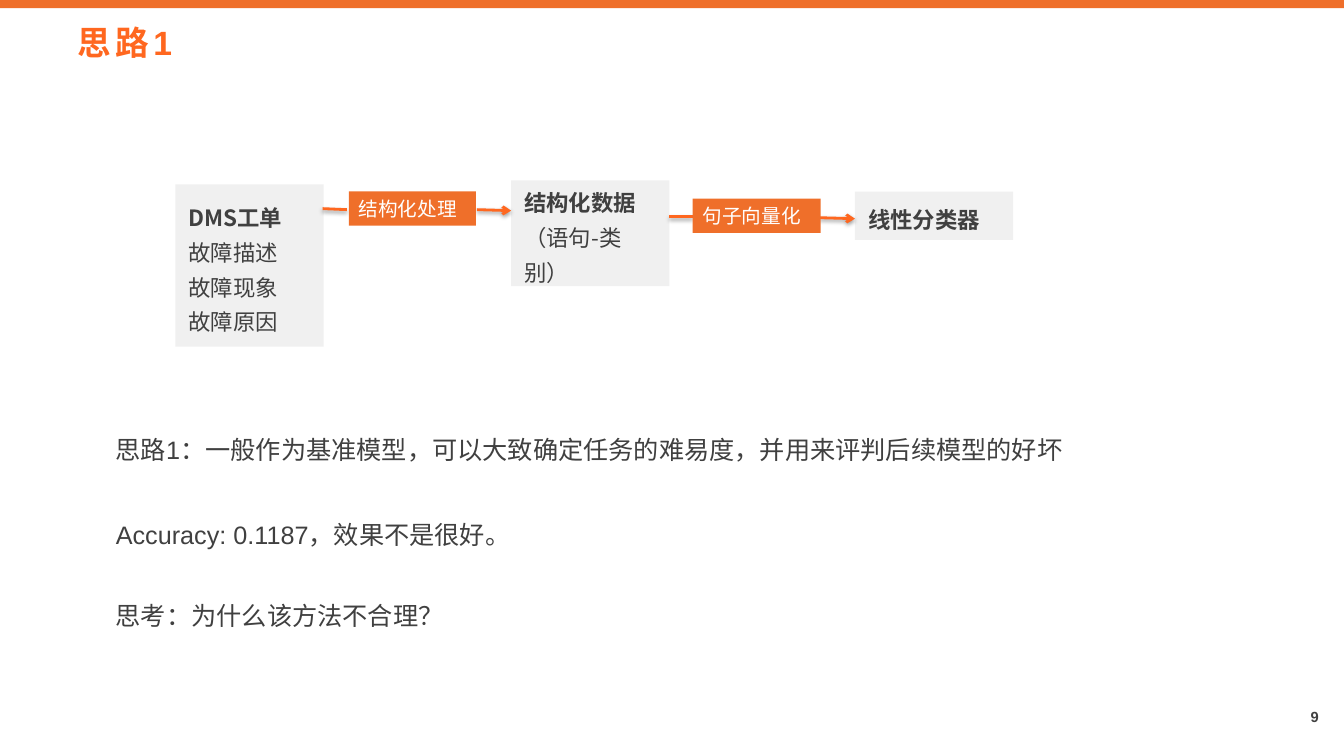
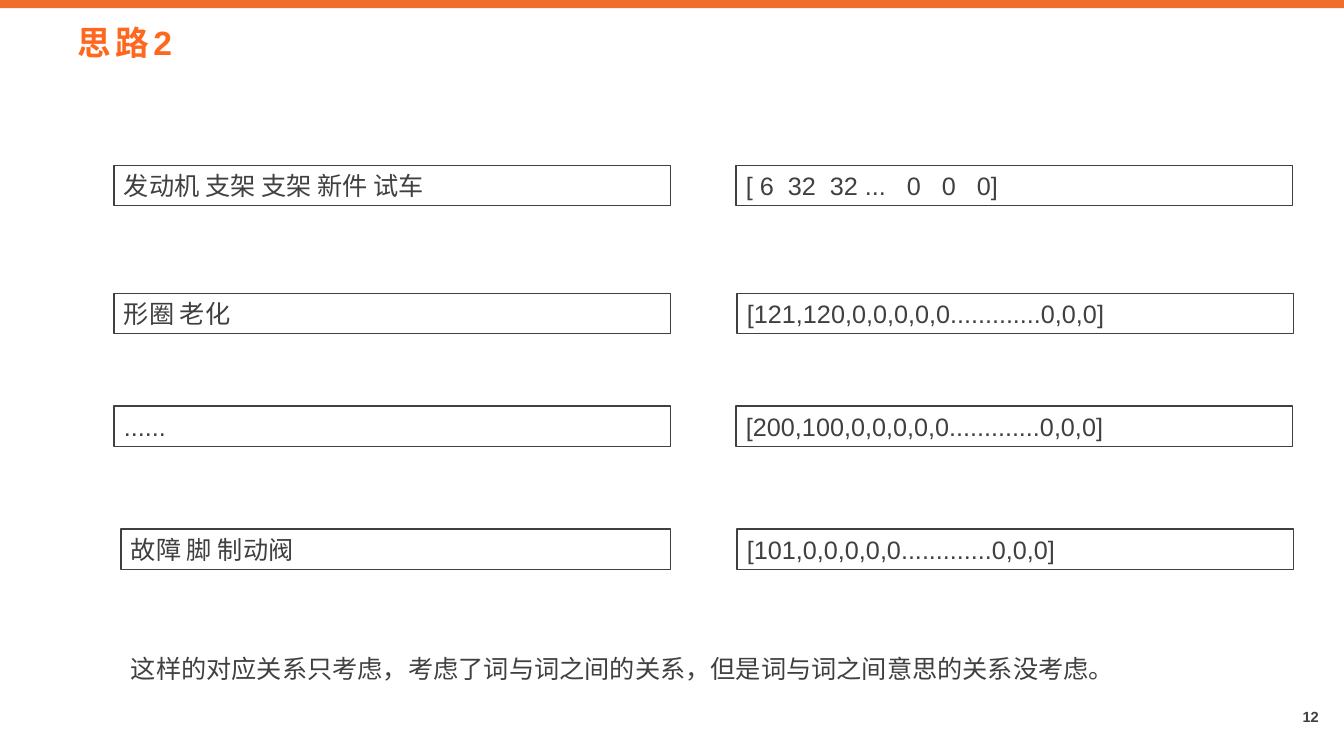
from dataclasses import dataclass

from lxml.etree import SubElement
from pptx import Presentation
from pptx.dml.color import RGBColor
from pptx.enum.shapes import MSO_CONNECTOR, MSO_SHAPE
from pptx.enum.text import MSO_ANCHOR, MSO_AUTO_SIZE, PP_ALIGN
from pptx.oxml.ns import qn
from pptx.util import Emu, Pt

PX = 9144  # 100 px to the inch
SLIDE_W, SLIDE_H = 1333, 750


@dataclass(frozen=True)
class Theme:
    band: str = "EF6F2A"
    accent: str = "FF671F"
    ink: str = "404040"
    panel: str = "F0F0F0"
    white: str = "FFFFFF"
    shadow: str = "000000"
    latin: str = "Arial"
    cjk: str = "Noto Sans CJK SC"
    title_size: float = 24
    body_size: float = 18
    box_size: float = 16
    tag_size: float = 14
    number_size: float = 10.5


THEME = Theme()


def px(*lengths):
    return [Emu(length * PX) for length in lengths]


def rgb(value):
    return RGBColor.from_string(value)


# Text
def write(frame, paragraphs, size=THEME.body_size, color=THEME.ink, font=THEME.latin,
          bold=False, tracking=0, align=PP_ALIGN.LEFT, anchor=MSO_ANCHOR.TOP,
          line_spacing=None, space_after=0, insets=(10, 5, 10, 5), grow=False, wrap=True):
    """Each paragraph is a list of runs; a run is a text or a (text, bold) pair."""
    frame.word_wrap = wrap
    frame.auto_size = MSO_AUTO_SIZE.SHAPE_TO_FIT_TEXT if grow else MSO_AUTO_SIZE.NONE
    frame.vertical_anchor = anchor
    (frame.margin_left, frame.margin_top,
     frame.margin_right, frame.margin_bottom) = px(*insets)
    for index, runs in enumerate(paragraphs):
        paragraph = frame.add_paragraph() if index else frame.paragraphs[0]
        paragraph.alignment = align
        paragraph.line_spacing = line_spacing
        if index < len(paragraphs) - 1:
            paragraph.space_after = Pt(space_after)
        for item in runs:
            words, heavy = (item, bold) if isinstance(item, str) else item
            run = paragraph.add_run()
            run.text = words
            run.font.size, run.font.bold, run.font.name = Pt(size), heavy, font
            run.font.color.rgb = rgb(color)
            properties = run.font._element
            SubElement(properties, qn("a:ea"), typeface=THEME.cjk)
            if tracking:
                properties.set("spc", str(tracking * 100))


def text_box(slide, box, paragraphs, **text_format):
    label = slide.shapes.add_textbox(*px(*box))
    write(label.text_frame, paragraphs, **text_format)


# Rectangles
def rectangle(slide, box, fill=None, line=None):
    shape = slide.shapes.add_shape(MSO_SHAPE.RECTANGLE, *px(*box))
    shape.shadow.inherit = False
    if fill:
        shape.fill.solid()
        shape.fill.fore_color.rgb = rgb(fill)
    else:
        shape.fill.background()
    if line:
        shape.line.color.rgb = rgb(line)
        shape.line.width = Pt(1)
    else:
        shape.line.fill.background()
    return shape


def data_panel(slide, box, paragraphs):
    panel = rectangle(slide, box, fill=THEME.panel)
    write(panel.text_frame, paragraphs, size=THEME.box_size, font=THEME.cjk,
          anchor=MSO_ANCHOR.MIDDLE, line_spacing=1.3, insets=(13, 7, 13, 7))


def step_tag(slide, box, step):
    tag = rectangle(slide, box, fill=THEME.band)
    write(tag.text_frame, [[step]], size=THEME.tag_size, font=THEME.cjk,
          color=THEME.white, grow=True)


def outlined_row(slide, box, content):
    row = rectangle(slide, box, line=THEME.ink)
    write(row.text_frame, [[content]], grow=True)


# Connectors
def flow_line(slide, start, end, arrow=False):
    flow = slide.shapes.add_connector(MSO_CONNECTOR.STRAIGHT, *px(*start, *end))
    flow.line.color.rgb = rgb(THEME.accent)
    flow.line.width = Pt(2)
    if arrow:
        SubElement(flow.line._get_or_add_ln(), qn("a:tailEnd"), type="arrow")
    effects = SubElement(flow._element.spPr, qn("a:effectLst"))
    shadow = SubElement(effects, qn("a:outerShdw"), blurRad=str(Pt(3.1)),
                        dist=str(Pt(1.6)), dir="5400000", rotWithShape="0")
    tint = SubElement(shadow, qn("a:srgbClr"), val=THEME.shadow)
    SubElement(tint, qn("a:alpha"), val="38000")


# Frame shared by the slides
def titled_slide(deck, title, number):
    slide = deck.slides.add_slide(deck.slide_layouts.get_by_name("Title Only"))
    rectangle(slide, (0, 0, SLIDE_W, 8), fill=THEME.band)
    heading = slide.shapes.title
    heading.left, heading.top, heading.width, heading.height = px(67, 17, 1136, 50)
    write(heading.text_frame, [[title]], size=THEME.title_size, color=THEME.accent,
          bold=True, tracking=3, grow=True)
    text_box(slide, (1017, 691, 311, 35), [[number]], size=THEME.number_size, bold=True,
             align=PP_ALIGN.RIGHT, anchor=MSO_ANCHOR.MIDDLE, line_spacing=Pt(16),
             insets=(0, 0, 20, 0))
    return slide


def baseline_slide(deck):
    slide = titled_slide(deck, "思路1", "9")

    # Pipeline from work orders to the classifier
    data_panel(slide, (174, 183, 147, 161),
               [[("DMS工单", True)], ["故障描述"], ["故障现象"], ["故障原因"]])
    data_panel(slide, (507, 179, 157, 105), [[("结构化数据", True), "（语句-类别）"]])
    data_panel(slide, (848, 190, 157, 48), [[("线性分类器", True)]])
    flow_line(slide, (320, 207), (344, 208))
    flow_line(slide, (473, 208), (507, 209), arrow=True)
    flow_line(slide, (664, 215), (687, 215))
    flow_line(slide, (813, 216), (848, 217), arrow=True)
    step_tag(slide, (346, 190, 126, 34), "结构化处理")
    step_tag(slide, (687, 197, 127, 34), "句子向量化")

    # Findings
    text_box(slide, (105, 411, 1004, 55),
             [["思路1：一般作为基准模型，可以大致确定任务的难易度，并用来评判后续模型的好坏"]],
             line_spacing=1.5, grow=True)
    text_box(slide, (105, 495, 972, 146),
             [["Accuracy: 0.1187，效果不是很好。"], ["思考：为什么该方法不合理？"]],
             line_spacing=1.5, space_after=26, grow=True)


def encoding_slide(deck):
    slide = titled_slide(deck, "思路2", "12")

    # Word lists and their vectors: top, left edges, contents
    pairs = [
        (164, 113, "发动机 支架 支架 新件 试车", 730, "[ 6  32  32 ...   0   0   0]"),
        (291, 113, "形圈 老化", 731, "[121,120,0,0,0,0,0.............0,0,0]"),
        (403, 113, "......", 730, "[200,100,0,0,0,0,0.............0,0,0]"),
        (525, 120, "故障 脚 制动阀", 731, "[101,0,0,0,0,0.............0,0,0]"),
    ]
    row_width, row_height, words_right = 552, 40, 665
    for top, words_left, words, vector_left, vector in pairs:
        outlined_row(slide, (words_left, top, words_right - words_left, row_height), words)
        outlined_row(slide, (vector_left, top, row_width, row_height), vector)

    # Conclusion
    text_box(slide, (120, 628, 995, 55),
             [["这样的对应关系只考虑，考虑了词与词之间的关系，但是词与词之间意思的关系没考虑。"]],
             line_spacing=1.5, grow=True, wrap=False)


def main():
    deck = Presentation()
    deck.slide_width, deck.slide_height = px(SLIDE_W, SLIDE_H)
    baseline_slide(deck)
    encoding_slide(deck)
    deck.save("out.pptx")


if __name__ == "__main__":
    main()
